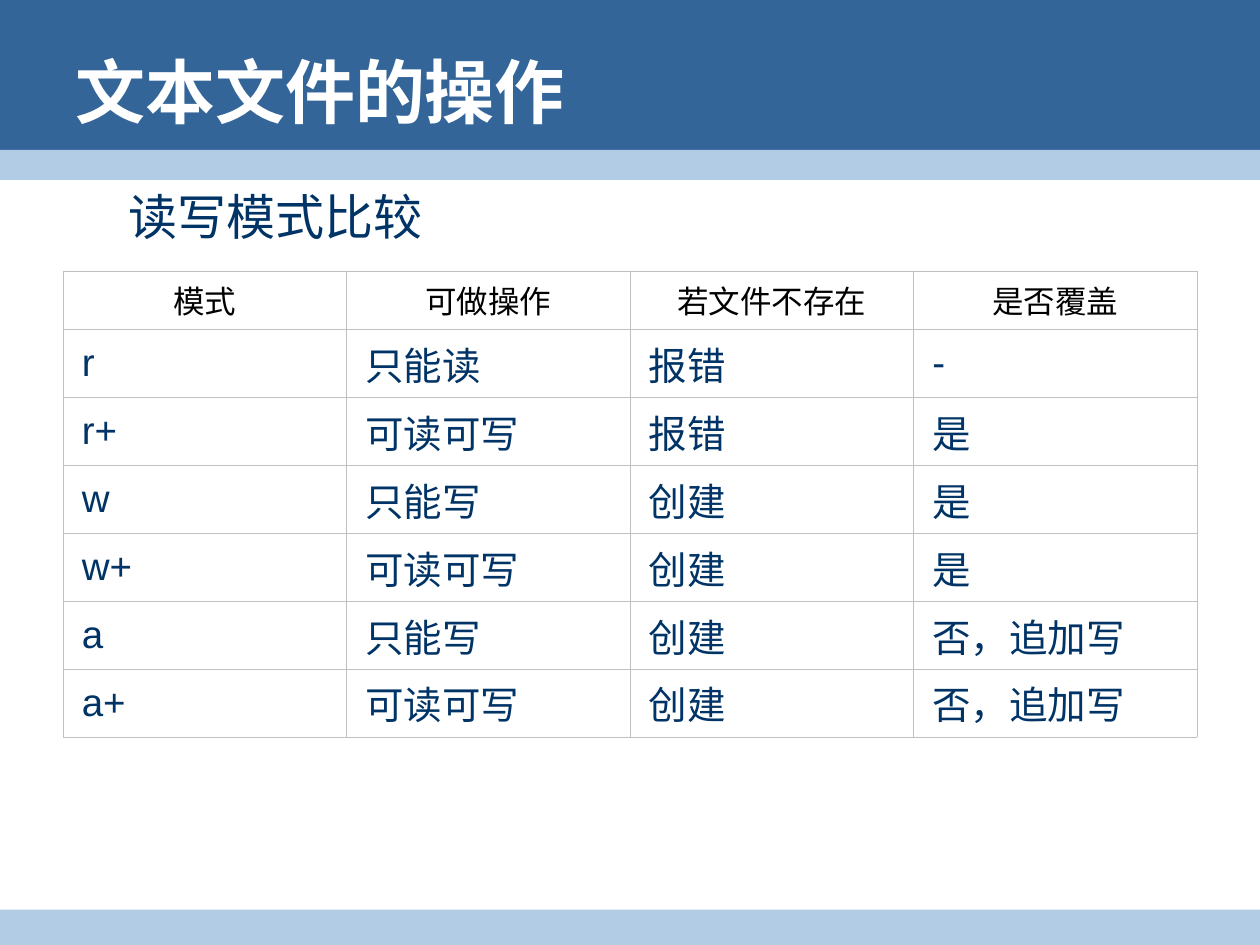
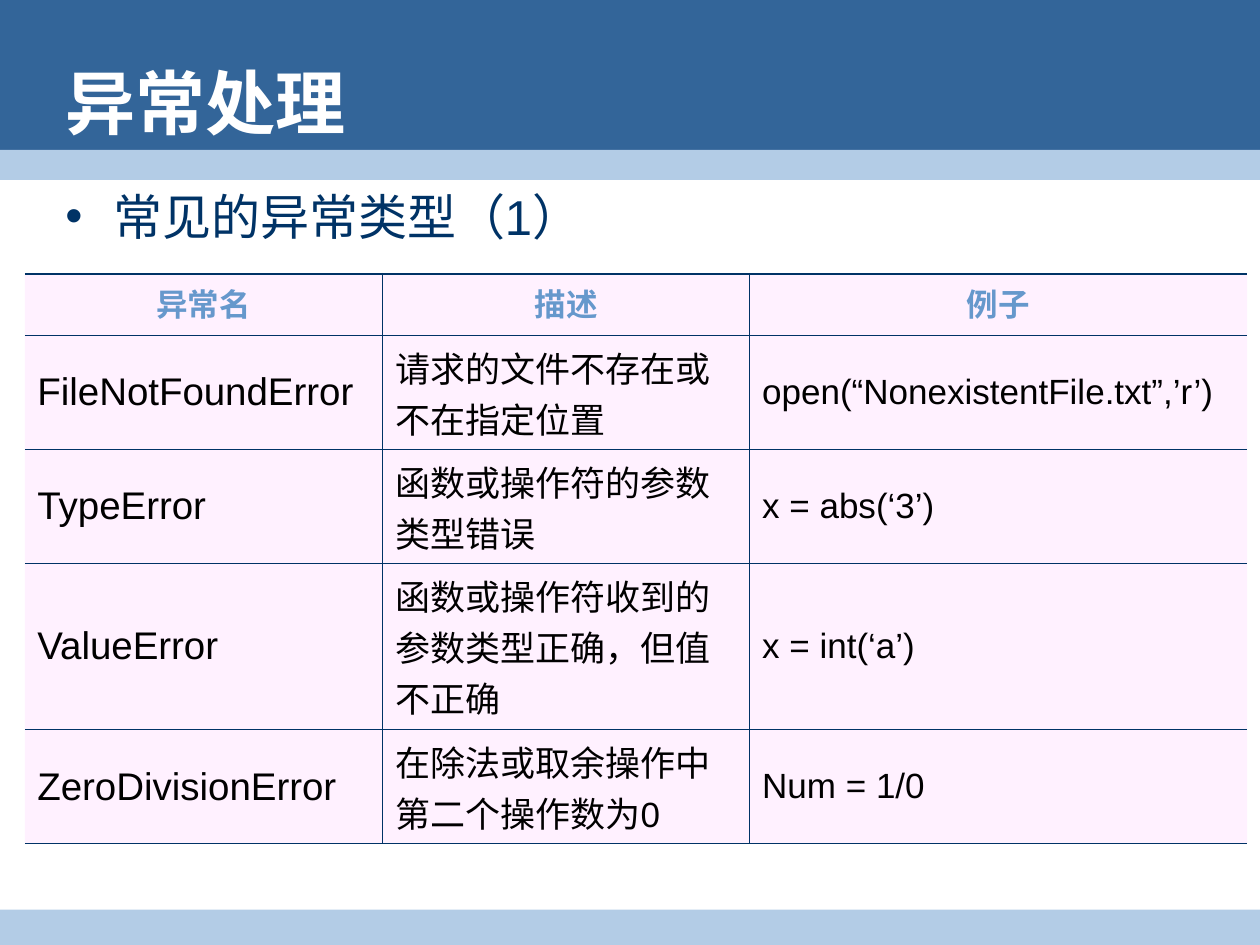
from dataclasses import dataclass

from lxml.etree import SubElement
from pptx import Presentation
from pptx.dml.color import RGBColor as RGB
from pptx.enum.lang import MSO_LANGUAGE_ID as LANG
from pptx.enum.shapes import MSO_SHAPE as SHAPE
from pptx.enum.text import MSO_ANCHOR as ANCHOR, PP_ALIGN as ALIGN
from pptx.oxml.ns import qn
from pptx.util import Cm, Pt


@dataclass(frozen=True)
class Theme:
    font: str = "Arial"
    header: str = "336599"
    band: str = "B3CCE6"
    navy: str = "003366"
    white: str = "FFFFFF"
    black: str = "000000"
    grid: str = "C0C0C0"
    head_text: str = "6698CC"
    pink: str = "FFCCFF"
    pink_alpha: int = 27
    title_size: float = 40
    body_size: float = 28
    term_size: float = 22
    text_size: float = 20
    head_size: float = 18
    grid_line: float = 0.34
    thin_line: float = 0.45
    top_line: float = 1.08


THEME = Theme()
WIDTH, HEIGHT = 25.4, 19.05
BODY_BOX = (1.07, 3.63, 24.08, 14.81)

MODE_ROWS = [
    ("模式", "可做操作", "若文件不存在", "是否覆盖"),
    ("r", "只能读", "报错", "-"),
    ("r+", "可读可写", "报错", "是"),
    ("w", "只能写", "创建", "是"),
    ("w+", "可读可写", "创建", "是"),
    ("a", "只能写", "创建", "否，追加写"),
    ("a+", "可读可写", "创建", "否，追加写"),
]

ERROR_ROWS = [
    ("异常名", "描述", "例子"),
    ("FileNotFoundError", "请求的文件不存在或不在指定位置",
     "open(“NonexistentFile.txt”,’r’)"),
    ("TypeError", "函数或操作符的参数类型错误", "x = abs(‘3’)"),
    ("ValueError", "函数或操作符收到的参数类型正确，但值不正确", "x = int(‘a’)"),
    ("ZeroDivisionError", "在除法或取余操作中第二个操作数为0", "Num = 1/0"),
]


def style_text(tf, size, color, bold=False, align=ALIGN.LEFT):
    for p in tf.paragraphs:
        p.alignment = align
        for r in p.runs:
            font = r.font
            font.name, font.size, font.bold = THEME.font, Pt(size), bold
            font.color.rgb = RGB.from_string(color)
            font.language_id = LANG.SIMPLIFIED_CHINESE


def add_band(slide, top, height, color):
    sp = slide.shapes.add_shape(SHAPE.RECTANGLE, 0, Cm(top), Cm(WIDTH), Cm(height))
    sp.shadow.inherit = False
    sp.fill.solid()
    sp.fill.fore_color.rgb = RGB.from_string(color)
    sp.line.fill.background()


def add_text(slide, box, text, size, color, bold=False, anchor=ANCHOR.TOP):
    tf = slide.shapes.add_textbox(*map(Cm, box)).text_frame
    tf.word_wrap = True
    tf.vertical_anchor = anchor
    tf.text = text
    style_text(tf, size, color, bold)
    return tf


def add_frame(prs, title, title_box):
    """Add a slide with the shared bands and its title."""
    slide = prs.slides.add_slide(prs.slide_layouts[6])
    add_band(slide, 0, 3.33, THEME.header)
    add_band(slide, 3.02, 0.61, THEME.band)
    add_band(slide, 18.34, HEIGHT - 18.34, THEME.band)
    add_text(slide, title_box, title, THEME.title_size, THEME.white, True, ANCHOR.MIDDLE)
    return slide


def add_subtitle(slide, text, margin, indent=0.0, bullet=None):
    tf = add_text(slide, BODY_BOX, text, THEME.body_size, THEME.navy)
    pPr = tf.paragraphs[0]._p.get_or_add_pPr()
    pPr.set("marL", str(Cm(margin)))
    pPr.set("indent", str(Cm(indent)))
    if bullet:
        SubElement(SubElement(pPr, qn("a:buClr")), qn("a:srgbClr"), val=THEME.navy)
        SubElement(pPr, qn("a:buFont"), typeface=THEME.font)
        SubElement(pPr, qn("a:buChar"), char=bullet)


def set_borders(cell, color, left, right, top, bottom):
    """Draw the four sides with widths in points; zero hides a side.

    Call before the fill is set: borders come first in the cell properties.
    """
    tcPr = cell._tc.get_or_add_tcPr()
    for side, width in zip("LRTB", (left, right, top, bottom)):
        ln = SubElement(tcPr, qn(f"a:ln{side}"), w=str(Pt(width)))
        if width:
            fill = SubElement(ln, qn("a:solidFill"))
            SubElement(fill, qn("a:srgbClr"), val=color)
        else:
            SubElement(ln, qn("a:noFill"))


def fill_pink(cell):
    cell.fill.solid()
    cell.fill.fore_color.rgb = RGB.from_string(THEME.pink)
    color = cell._tc.tcPr.find(qn("a:solidFill")).find(qn("a:srgbClr"))
    SubElement(color, qn("a:alpha"), val=str(THEME.pink_alpha * 1000))


def add_table(slide, left, top, col_widths, row_heights, rows, style_cell):
    """Place a plain table and pass each cell to style_cell(cell, row, col)."""
    frame = slide.shapes.add_table(
        len(rows), len(col_widths), Cm(left), Cm(top),
        Cm(sum(col_widths)), Cm(sum(row_heights)))
    table = frame.table
    table.first_row = table.horz_banding = False
    for column, width in zip(table.columns, col_widths):
        column.width = Cm(width)
    for row, height in zip(table.rows, row_heights):
        row.height = Cm(height)
    for i, texts in enumerate(rows):
        for j, text in enumerate(texts):
            cell = table.cell(i, j)
            cell.text = text
            style_cell(cell, i, j)


def style_mode_cell(cell, row, col):
    cell.vertical_anchor = ANCHOR.MIDDLE
    cell.margin_left = cell.margin_right = Cm(0.38)
    set_borders(cell, THEME.grid, *[THEME.grid_line] * 4)
    cell.fill.background()
    if row == 0:
        style_text(cell.text_frame, THEME.head_size, THEME.black, align=ALIGN.CENTER)
    else:
        style_text(cell.text_frame, THEME.term_size, THEME.navy)


def style_error_cell(cell, row, col):
    last_col = len(ERROR_ROWS[0]) - 1
    line = THEME.thin_line
    set_borders(cell, THEME.navy,
                left=line if col > 0 else 0,
                right=line if col < last_col else 0,
                top=line if row > 0 else THEME.top_line,
                bottom=line)
    fill_pink(cell)
    if row == 0:
        style_text(cell.text_frame, THEME.head_size, THEME.head_text, True, ALIGN.CENTER)
        return
    cell.vertical_anchor = ANCHOR.TOP if col == 1 else ANCHOR.MIDDLE
    size = THEME.term_size if col == 0 else THEME.text_size
    style_text(cell.text_frame, size, THEME.black)


def build_mode_slide(prs):
    slide = add_frame(prs, "文本文件的操作", (1.27, 0.43, 22.86, 2.79))
    add_subtitle(slide, "读写模式比较", margin=1.27)
    columns = len(MODE_ROWS[0])
    add_table(slide, 1.27, 5.46, [22.86 / columns] * columns,
              [1.18] + [1.37] * (len(MODE_ROWS) - 1), MODE_ROWS, style_mode_cell)


def build_error_slide(prs):
    slide = add_frame(prs, "异常处理", (1.07, 1.32, 23.01, 1.47))
    add_subtitle(slide, "常见的异常类型（1）", margin=0.97, indent=-0.97, bullet="•")
    add_table(slide, 0.5, 5.52, [7.21, 7.4, 10.03],
              [1.24, 2.3, 2.3, 3.35, 2.3], ERROR_ROWS, style_error_cell)


def main():
    prs = Presentation()
    prs.slide_width, prs.slide_height = Cm(WIDTH), Cm(HEIGHT)
    build_mode_slide(prs)
    build_error_slide(prs)
    prs.save("out.pptx")


if __name__ == "__main__":
    main()
